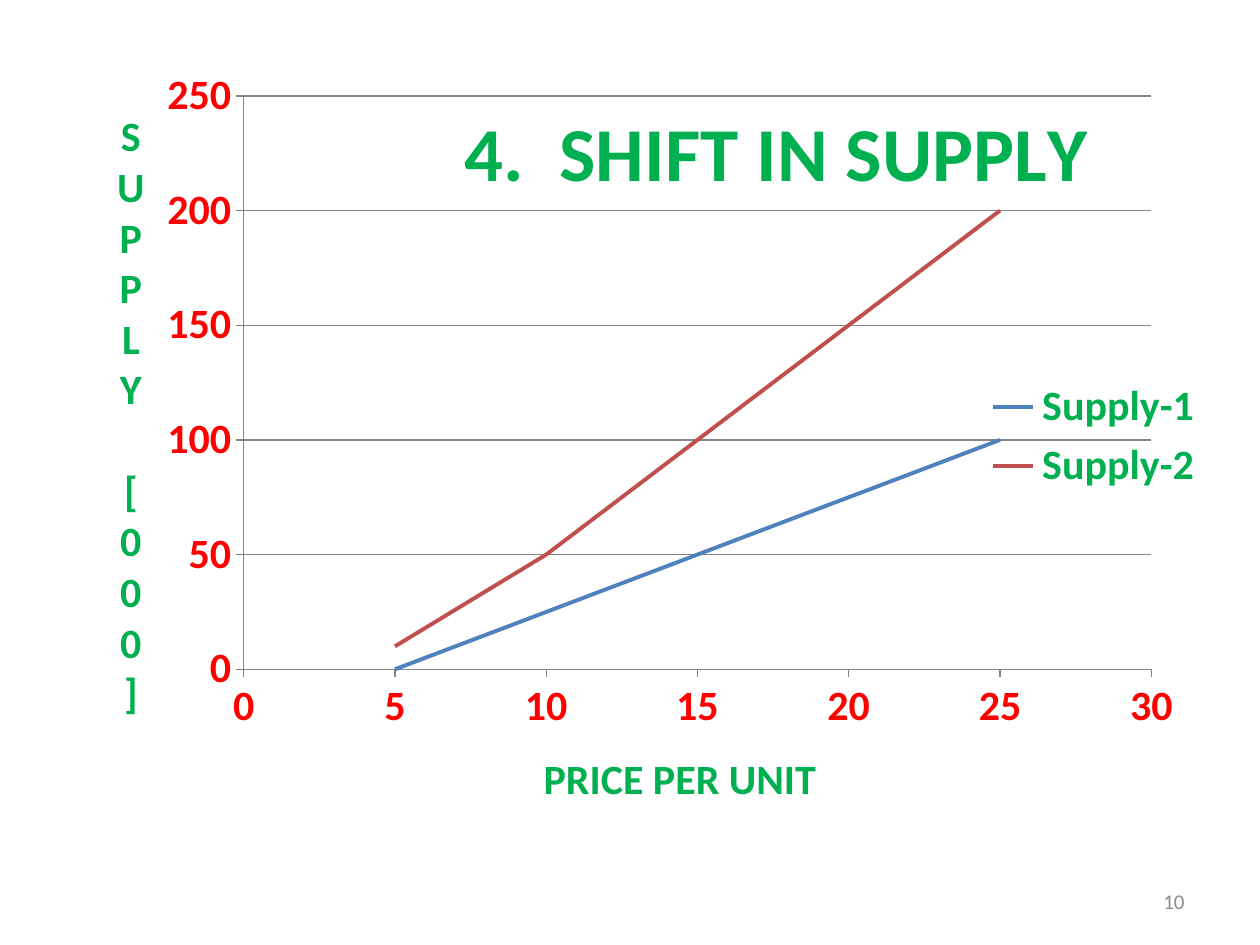
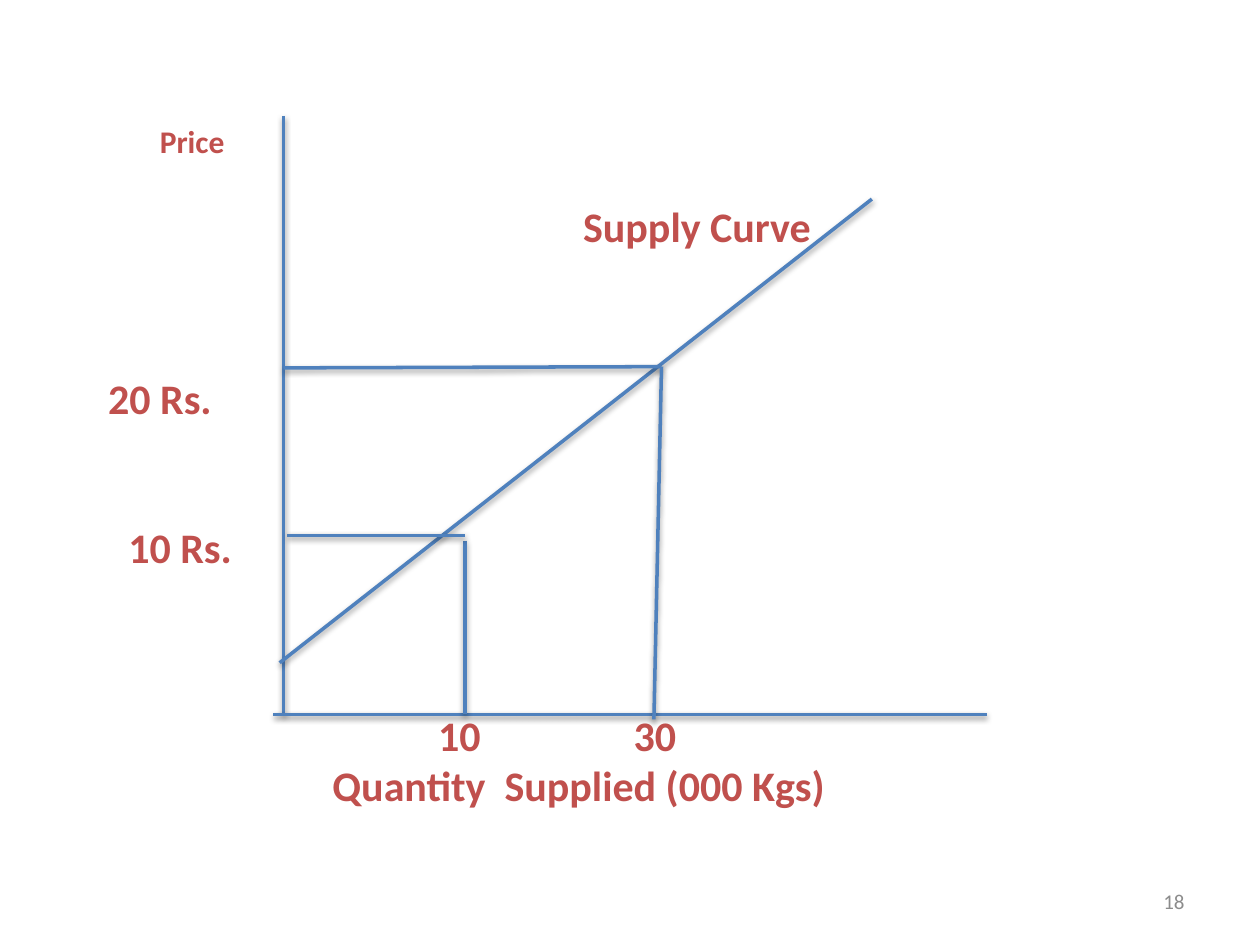
from pptx import Presentation
from pptx.chart.data import XyChartData
from pptx.dml.color import RGBColor
from pptx.enum.chart import XL_CHART_TYPE, XL_LEGEND_POSITION, XL_TICK_MARK
from pptx.enum.shapes import MSO_CONNECTOR
from pptx.enum.text import MSO_ANCHOR, PP_ALIGN
from pptx.oxml import parse_xml
from pptx.oxml.ns import nsdecls, qn
from pptx.util import Inches, Pt

SCATTER = XL_CHART_TYPE.XY_SCATTER_SMOOTH_NO_MARKERS
LEGEND_RIGHT = XL_LEGEND_POSITION.RIGHT
TICK_OUT, TICK_NONE = XL_TICK_MARK.OUTSIDE, XL_TICK_MARK.NONE
STRAIGHT = MSO_CONNECTOR.STRAIGHT
TOP, MIDDLE = MSO_ANCHOR.TOP, MSO_ANCHOR.MIDDLE
LEFT, RIGHT = PP_ALIGN.LEFT, PP_ALIGN.RIGHT

GREEN = RGBColor(0x00, 0xB0, 0x50)
RED = RGBColor(0xFF, 0x00, 0x00)
BLUE = RGBColor(0x4F, 0x81, 0xBD)
BRICK = RGBColor(0xC0, 0x50, 0x4D)
GREY = RGBColor(0x8C, 0x8C, 0x8C)
GRID_GREY = RGBColor(0x86, 0x86, 0x86)
FONT = "Calibri"

PRICES = [5, 10, 15, 17, 20, 22, 25]
SUPPLIES = [
    ("Supply-1", BLUE, [0, 25, 50, 60, 75, 85, 100]),
    ("Supply-2", BRICK, [10, 50, 100, 120, 150, 170, 200]),
]
CHART_TITLE = ("4.  SHIFT IN SUPPLY", 44, (0.37, 0.03))
PRICE_TITLE = ("PRICE PER UNIT", 24, (0.44, 0.91))
SUPPLY_TITLE = ("SUPPLY [000]", 24, (0.09, 0.05))
CHART_AREA = (0, 0.5, 9.67, 6)
PLOT_AREA = (0.2, 0.044, 0.745, 0.767)

AXIS_X, AXIS_Y = 2.25, 5.67
DIAGRAM_LINES = [
    ((AXIS_X, 0.92), (AXIS_X, AXIS_Y)),
    ((2.17, AXIS_Y), (7.83, AXIS_Y)),
    ((6.92, 1.58), (2.22, 5.26)),
    ((AXIS_X, 2.92), (5.25, 2.91)),
    ((3.69, 4.29), (3.69, AXIS_Y)),
    ((2.28, 4.25), (3.69, 4.25)),
    ((5.25, 2.91), (5.19, 5.71)),
]
DIAGRAM_LABELS = [
    ("20 Rs.", 24, (0.76, 2.91, 1.35, 0.5)),
    ("10 Rs.", 24, (0.92, 4.09, 1.35, 0.5)),
    ("10", 24, (3.38, 5.58, 0.7, 0.5)),
    ("30", 24, (4.93, 5.58, 0.7, 0.5)),
    ("Quantity  Supplied (000 Kgs)", 24, (2.54, 5.98, 4.88, 0.5)),
    ("Supply Curve", 24, (4.53, 1.54, 2.47, 0.5)),
    ("Price", 18, (1.17, 0.92, 0.75, 0.4)),
]
NUMBER_AREA = (7.17, 6.95, 2.33, 0.4)


def inches(values):
    return [Inches(value) for value in values]


def style_font(font, size, color, bold=True):
    formats = {"name": FONT, "size": Pt(size), "bold": bold}
    for name, value in formats.items():
        setattr(font, name, value)
    font.color.rgb = color


def add_text(page, text, size, area, color=BRICK, bold=True, align=LEFT, anchor=TOP):
    frame = page.shapes.add_textbox(*inches(area)).text_frame
    frame.word_wrap = True
    frame.vertical_anchor = anchor
    para = frame.paragraphs[0]
    para.alignment = align
    span = para.add_run()
    span.text = text
    style_font(span.font, size, color, bold)


def add_page(deck, number):
    page = deck.slides.add_slide(deck.slide_layouts[6])
    add_text(page, str(number), 12, NUMBER_AREA, GREY, False, RIGHT, MIDDLE)
    return page


def add_shadowed_line(page, start, end):
    line = page.shapes.add_connector(STRAIGHT, *inches(start + end))
    line.line.color.rgb = BLUE
    line.line.width = Pt(2)
    line.element.spPr.append(parse_xml(
        f'<a:effectLst {nsdecls("a")}>'
        '<a:outerShdw blurRad="40000" dist="20000" dir="5400000" rotWithShape="0">'
        '<a:srgbClr val="000000"><a:alpha val="38000"/></a:srgbClr>'
        '</a:outerShdw></a:effectLst>'))


def manual_layout(position, target=""):
    modes = "".join(f'<c:{side}Mode val="edge"/>' for side in "xy")
    sizes = "".join(f'<c:{side} val="{value}"/>' for side, value in zip("xywh", position))
    return parse_xml(f'<c:layout {nsdecls("c")}><c:manualLayout>'
                     f'{target}{modes}{sizes}</c:manualLayout></c:layout>')


def drop_layout(element):
    for layout in element.findall(qn("c:layout")):
        element.remove(layout)


def set_title(title, text, size, position):
    para = title.text_frame.paragraphs[0]
    span = para.add_run()
    span.text = text
    style_font(span.font, size, GREEN)
    drop_layout(title.element)
    title.element.find(qn("c:tx")).addnext(manual_layout(position))


def style_axis(axis, maximum, step, gridlines, title):
    formats = {
        "minimum_scale": 0, "maximum_scale": maximum, "major_unit": step,
        "has_major_gridlines": gridlines, "has_minor_gridlines": False,
        "major_tick_mark": TICK_OUT, "minor_tick_mark": TICK_NONE,
    }
    for name, value in formats.items():
        setattr(axis, name, value)
    style_font(axis.tick_labels.font, 24, RED)
    lines = [axis.format.line]
    if gridlines:
        lines.append(axis.major_gridlines.format.line)
    for line in lines:
        line.color.rgb = GRID_GREY
        line.width = Pt(0.75)
    set_title(axis.axis_title, *title)


def add_supply_chart(page):
    data = XyChartData()
    for name, _, values in SUPPLIES:
        series = data.add_series(name)
        for price, value in zip(PRICES, values):
            series.add_data_point(price, value)
    chart = page.shapes.add_chart(SCATTER, *inches(CHART_AREA), data).chart
    chart.font.name = FONT
    chart.font.size = Pt(24)

    plot = chart.plots[0]
    plot.vary_by_categories = False
    for series, (_, color, _) in zip(plot.series, SUPPLIES):
        series.format.line.color.rgb = color
        series.format.line.width = Pt(2.25)

    chart.has_title = True
    set_title(chart.chart_title, *CHART_TITLE)
    chart.chart_title.element.find(qn("c:overlay")).set("val", "1")
    style_axis(chart.category_axis, 30, 5, False, PRICE_TITLE)
    style_axis(chart.value_axis, 250, 50, True, SUPPLY_TITLE)
    body = next(chart.value_axis.axis_title.element.iter(qn("a:bodyPr")))
    body.set("rot", "0")
    body.set("vert", "wordArtVert")

    chart.has_legend = True
    chart.legend.position = LEGEND_RIGHT
    chart.legend.include_in_layout = False
    style_font(chart.legend.font, 24, GREEN)

    area = next(chart.element.iter(qn("c:plotArea")))
    drop_layout(area)
    area.insert(0, manual_layout(PLOT_AREA, '<c:layoutTarget val="inner"/>'))


def main():
    deck = Presentation()
    deck.slide_width, deck.slide_height = inches((10, 7.5))

    add_supply_chart(add_page(deck, 10))

    diagram = add_page(deck, 18)
    for start, end in DIAGRAM_LINES:
        add_shadowed_line(diagram, start, end)
    for text, size, area in DIAGRAM_LABELS:
        add_text(diagram, text, size, area)

    deck.save("out.pptx")


if __name__ == "__main__":
    main()
